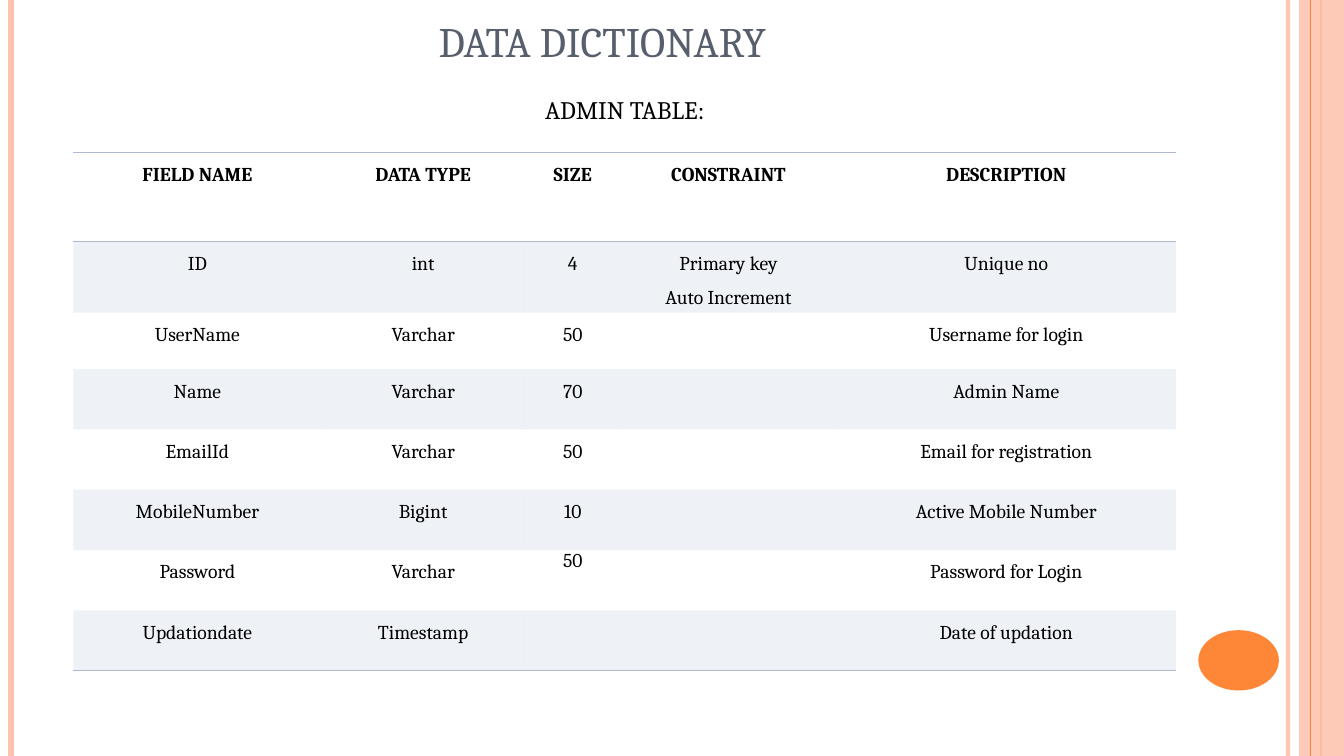
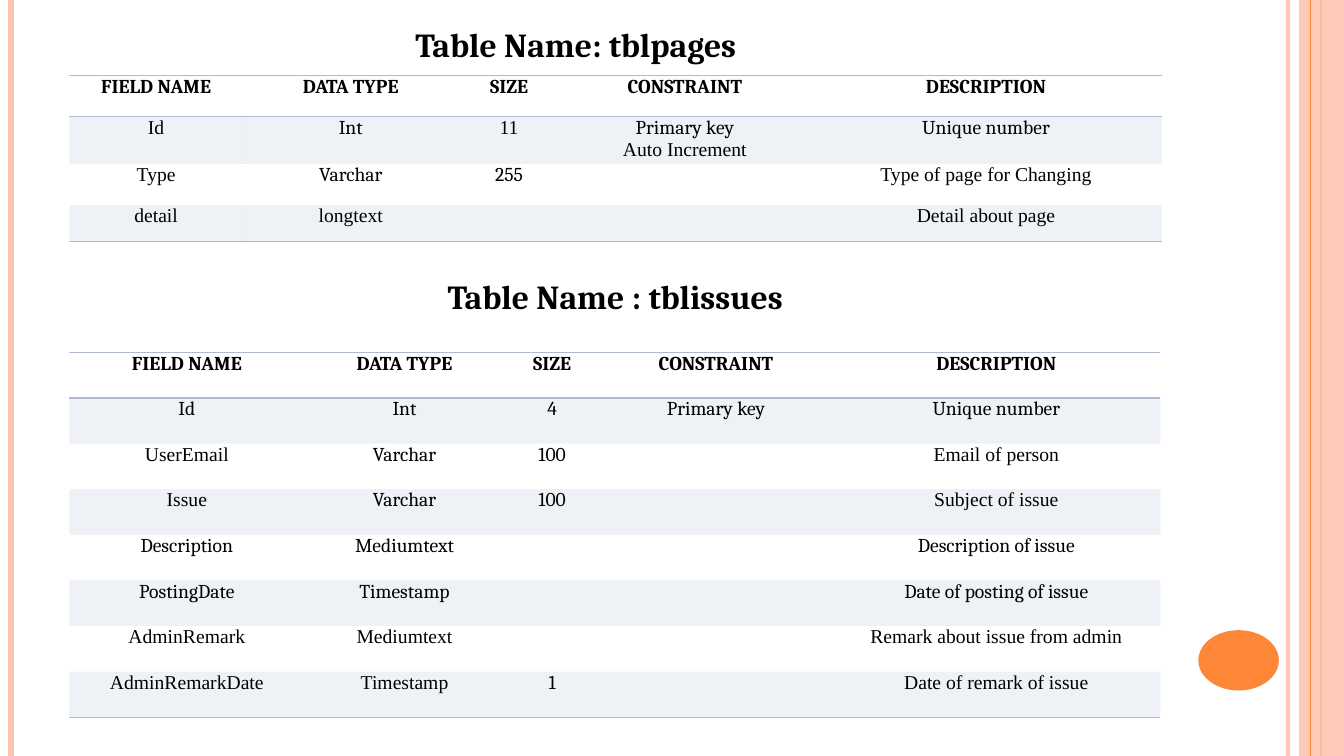
from dataclasses import dataclass
from typing import NamedTuple, Optional

from lxml import etree
from pptx import Presentation
from pptx import util as u
from pptx.dml.color import RGBColor
from pptx.enum import shapes, text
from pptx.oxml.ns import qn


@dataclass(frozen=True)
class Theme:
    width: float = 33.87
    height: float = 19.05
    peach: str = "FEC3AE"
    orange: str = "FE8637"
    slate: str = "575F6D"
    black: str = "000000"
    table_blue: str = "AEBAD5"
    font: str = "Cambria"
    cell_font: str = "Times New Roman"
    title_size: int = 30
    heading_size: int = 24
    subtitle_size: int = 18
    cell_size: int = 14
    band_opacity: int = 20
    cell_margin: float = 0.18
    plain_table_style: str = "{2D5ABB26-0587-4C30-8999-92F81FD0307C}"


THEME = Theme()
HEADER = ("FIELD NAME", "DATA TYPE", "SIZE", "CONSTRAINT", "DESCRIPTION")


class Line(NamedTuple):
    """One line of a table cell whose format differs from the table's."""
    text: str
    font: str = THEME.font
    spacing: Optional[float] = None


def times(content):
    return Line(content, font=THEME.cell_font)


def write(paragraph, content, *, size, font=THEME.font, color=THEME.black,
          bold=False, spacing=None):
    paragraph.alignment = text.PP_ALIGN.CENTER
    if spacing:
        paragraph.line_spacing = spacing
    run = paragraph.add_run()
    run.text = content
    run.font.name = font
    run.font.size = u.Pt(size)
    run.font.bold = bold
    run.font.color.rgb = RGBColor.from_string(color)


def add_text(slide, content, left, top, width, height,
             anchor=text.MSO_ANCHOR.TOP, **style):
    box = slide.shapes.add_textbox(*map(u.Cm, (left, top, width, height)))
    box.text_frame.word_wrap = True
    box.text_frame.vertical_anchor = anchor
    write(box.text_frame.paragraphs[0], content, **style)


def set_opacity(element, percent):
    """Apply an opacity to every colour already set inside the element."""
    for color in element.iter(qn("a:srgbClr")):
        etree.SubElement(color, qn("a:alpha")).set("val", str(percent * 1000))


def add_vertical_line(slide, x, color, weight, opacity=100):
    line = slide.shapes.add_connector(
        shapes.MSO_CONNECTOR.STRAIGHT, u.Cm(x), 0, u.Cm(x), u.Cm(THEME.height))
    line.line.color.rgb = RGBColor.from_string(color)
    line.line.width = u.Pt(weight)
    properties = line._element.spPr
    etree.SubElement(properties, qn("a:effectLst"))
    if opacity < 100:
        set_opacity(properties, opacity)


def add_plain_shape(slide, kind, left, top, width, height, color, opacity=100):
    shape = slide.shapes.add_shape(
        kind, *map(u.Cm, (left, top, width, height)))
    shape.shadow.inherit = False
    shape.fill.solid()
    shape.fill.fore_color.rgb = RGBColor.from_string(color)
    shape.line.fill.background()
    if opacity < 100:
        set_opacity(shape._element.spPr, opacity)


def add_decoration(slide):
    add_vertical_line(slide, 32.46, THEME.peach, 3, opacity=93)
    add_vertical_line(slide, 0.28, THEME.peach, 4.5)
    add_vertical_line(slide, 33.3, THEME.orange, 1.5)
    add_plain_shape(slide, shapes.MSO_SHAPE.RECTANGLE,
                    32.74, 0, THEME.width - 32.74, THEME.height,
                    THEME.peach, opacity=87)
    add_vertical_line(slide, 33.02, THEME.orange, 0.75)
    add_plain_shape(slide, shapes.MSO_SHAPE.OVAL,
                    30.2, 15.88, 2.03, 1.52, THEME.orange)


def add_cell_border(cell, side):
    """Draw a one-point border; side is the XML name lnT or lnB."""
    border = etree.Element(qn(f"a:{side}"), w=str(u.Pt(1)))
    fill = etree.SubElement(border, qn("a:solidFill"))
    etree.SubElement(fill, qn("a:srgbClr"), val=THEME.table_blue)
    cell._tc.get_or_add_tcPr().insert(0, border)


def fill_cell(cell, content, banded, bold, spacing):
    cell.margin_left = cell.margin_right = u.Cm(THEME.cell_margin)
    cell.margin_top = cell.margin_bottom = 0
    if banded:
        cell.fill.solid()
        cell.fill.fore_color.rgb = RGBColor.from_string(THEME.table_blue)
        set_opacity(cell._tc.tcPr, THEME.band_opacity)
    else:
        cell.fill.background()
    lines = content if type(content) is list else [content]
    for index, line in enumerate(lines):
        if not line:
            continue
        if not isinstance(line, Line):
            line = Line(line, spacing=spacing)
        frame = cell.text_frame
        paragraph = frame.add_paragraph() if index else frame.paragraphs[0]
        write(paragraph, line.text, size=THEME.cell_size, font=line.font,
              bold=bold, spacing=line.spacing)


def add_field_table(slide, records, left, top, widths, heights, spacing=None):
    """Add a banded table; a list in a record gives a cell several lines."""
    rows = [HEADER, *records]
    frame = slide.shapes.add_table(
        len(rows), len(HEADER), u.Cm(left), u.Cm(top),
        u.Cm(sum(widths)), u.Cm(sum(heights)))
    table = frame.table
    table.horz_banding = False
    style = table._tbl.tblPr.find(qn("a:tableStyleId"))
    style.text = THEME.plain_table_style
    for column, width in zip(table.columns, widths):
        column.width = u.Cm(width)
    for row, height in zip(table.rows, heights):
        row.height = u.Cm(height)
    for row_index, row in enumerate(rows):
        is_header = row_index == 0
        for column_index, content in enumerate(row):
            cell = table.cell(row_index, column_index)
            fill_cell(cell, content, banded=row_index % 2 == 1,
                      bold=is_header, spacing=spacing)
            if is_header or row_index == len(rows) - 1:
                add_cell_border(cell, "lnB")
            if is_header:
                add_cell_border(cell, "lnT")


def add_slide(presentation):
    slide = presentation.slides.add_slide(presentation.slide_layouts[6])
    add_decoration(slide)
    return slide


def build_admin_slide(presentation):
    slide = add_slide(presentation)
    add_text(slide, "DATA DICTIONARY", 1.35, 0.03, 27.66, 1.75,
             anchor=text.MSO_ANCHOR.BOTTOM, size=THEME.title_size,
             color=THEME.slate)
    add_text(slide, "ADMIN TABLE:", 12.34, 2.24, 6.81, 1.02,
             size=THEME.subtitle_size)
    records = [
        ("ID", "int", "4", ["Primary key", "Auto Increment"], "Unique no"),
        ("UserName", "Varchar", "50", "", "Username for login"),
        ("Name", "Varchar", "70", "", "Admin Name"),
        ("EmailId", "Varchar", "50", "", "Email for registration"),
        ("MobileNumber", "Bigint", "10", "", "Active Mobile Number"),
        ("Password", "Varchar", Line("50"), "", "Password for Login"),
        ("Updationdate", "Timestamp", "", "", "Date of updation"),
    ]
    add_field_table(slide, records, 1.85, 3.84,
                    widths=(6.25, 5.13, 2.41, 5.44, 8.56),
                    heights=(2.24, 1.8, 1.42, *[1.52] * 5), spacing=1.5)


def build_pages_and_issues_slide(presentation):
    slide = add_slide(presentation)
    heading = {"size": THEME.heading_size, "bold": True}
    add_text(slide, "Table Name: tblpages", 8.59, 0.48, 11.84, 1.27, **heading)
    pages = [
        (times("Id"), "Int", times("11"),
         ["Primary key", times("Auto Increment")], "Unique number"),
        (times("Type"), "Varchar", "255", "",
         times("Type of page for Changing")),
        (times("detail"), times("longtext"), "", "",
         times("Detail about page")),
    ]
    add_field_table(slide, pages, 1.75, 1.9,
                    widths=(4.37, 5.44, 2.54, 6.32, 8.86),
                    heights=(1.04, 1.18, 1.04, 0.91))

    add_text(slide, "Table Name : tblissues", 9.47, 6.83, 12.07, 1.27,
             **heading)
    issues = [
        ("Id", "Int", "4", "Primary key", "Unique number"),
        (times("UserEmail"), "Varchar", "100", "", times("Email of person")),
        (times("Issue"), "Varchar", "100", "", times("Subject of issue")),
        ("Description", "Mediumtext", "", "", "Description of issue"),
        ("PostingDate", "Timestamp", "", "", "Date of posting of issue"),
        (times("AdminRemark"), times("Mediumtext"), "", "",
         times("Remark about issue from admin")),
        (times("AdminRemarkDate"), times("Timestamp"), "1", "",
         times("Date of remark of issue")),
    ]
    add_field_table(slide, issues, 1.75, 8.88,
                    widths=(5.92, 5.05, 2.39, 5.87, 8.26),
                    heights=[1.15] * 8)


def main():
    presentation = Presentation()
    presentation.slide_width = u.Cm(THEME.width)
    presentation.slide_height = u.Cm(THEME.height)
    build_admin_slide(presentation)
    build_pages_and_issues_slide(presentation)
    presentation.save("out.pptx")


if __name__ == "__main__":
    main()
